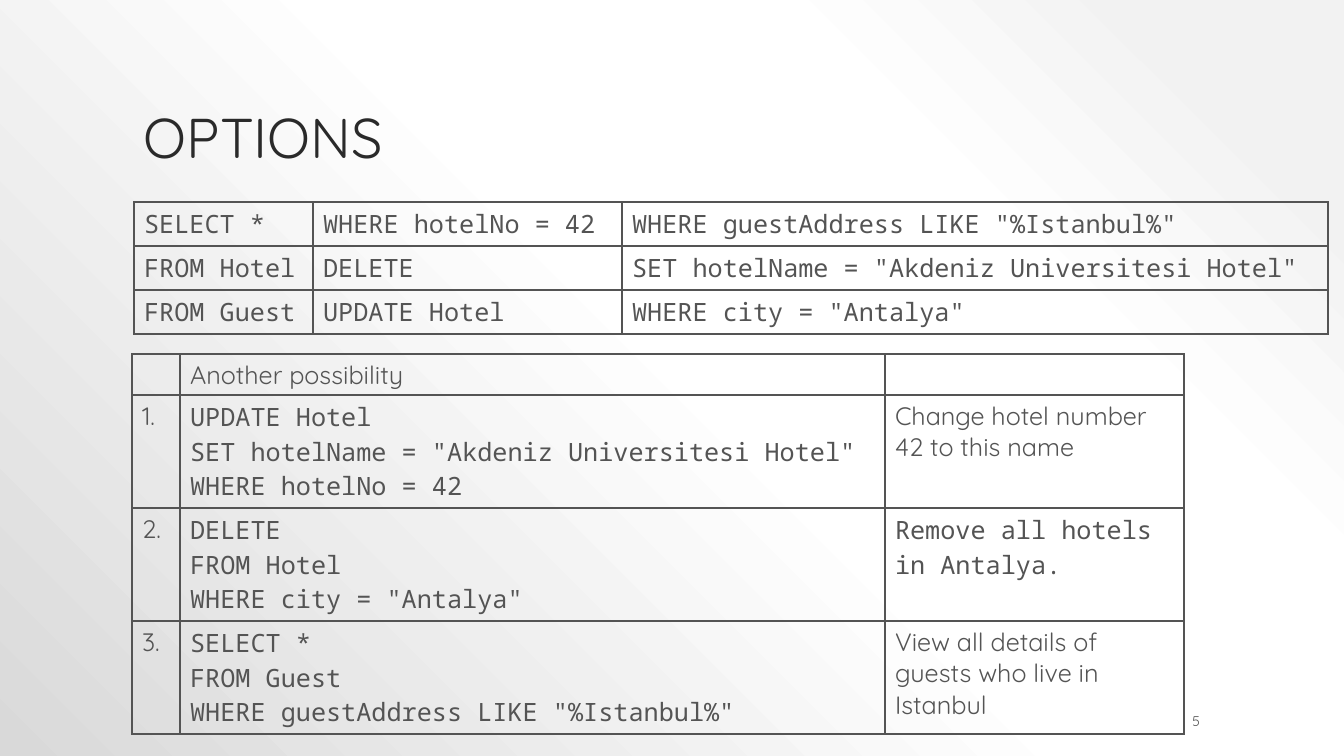
from dataclasses import dataclass

from lxml.etree import SubElement
from pptx import Presentation
from pptx.dml.color import RGBColor
from pptx.enum.text import MSO_ANCHOR as Anchor, PP_ALIGN as Align
from pptx.oxml import parse_xml
from pptx.oxml.ns import nsdecls, qn
from pptx.slide import Slide
from pptx.table import _Cell as Cell
from pptx.text.text import _Paragraph as Paragraph
from pptx.util import Emu, Pt

SANS, MONO = "Quicksand", "Noto Sans Mono"
GREY, DARK = "545454", "2A2A2A"
BACKGROUND_STOPS = [(10, "F2F2F2"), (28, "FFFFFF"), (48, "FFFFFF"), (100, "D9D9D9")]


@dataclass
class Entry:
    text: str = ""
    font: str = SANS


@dataclass
class Grid:
    left: int
    top: int
    widths: list[int]
    heights: list[int]
    rows: list[list[Entry]]


@dataclass
class Label:
    text: str
    box: tuple[int, int, int, int]
    size: int
    color: str
    anchor: Anchor
    align: Align = Align.LEFT
    spacing: float = 1.0


def code(*lines: str) -> Entry:
    return Entry("\n".join(lines), MONO)


OPTIONS = Grid(134, 202, [179, 309, 706], [44] * 3, [
    [code("SELECT *"), code("WHERE hotelNo = 42"),
     code('WHERE guestAddress LIKE "%Istanbul%"')],
    [code("FROM Hotel"), code("DELETE"),
     code('SET hotelName = "Akdeniz Universitesi Hotel"')],
    [code("FROM Guest"), code("UPDATE Hotel"), code('WHERE city = "Antalya"')],
])

ANSWERS = Grid(132, 354, [48, 705, 299], [41] + [113] * 3, [
    [Entry(), Entry("Another possibility"), Entry()],
    [Entry("1."),
     code("UPDATE Hotel", 'SET hotelName = "Akdeniz Universitesi Hotel"',
          "WHERE hotelNo = 42"),
     Entry("Change hotel number 42 to this name")],
    [Entry("2."),
     code("DELETE", "FROM Hotel", 'WHERE city = "Antalya"'),
     code("Remove all hotels in Antalya.")],
    [Entry("3."),
     code("SELECT *", "FROM Guest", 'WHERE guestAddress LIKE "%Istanbul%"'),
     Entry("View all details of guests who live in Istanbul")],
])

LABELS = [
    Label("OPTIONS", (134, 30, 1076, 146), 40, DARK, Anchor.BOTTOM, spacing=0.9),
    Label("5", (1084, 711, 126, 20), 10, GREY, Anchor.MIDDLE, Align.RIGHT),
]


def px(n: int) -> Emu:
    return Emu(round(n * 914400 / 100.8))


def rgb(color: str) -> RGBColor:
    return RGBColor.from_string(color)


def set_font(p: Paragraph, name: str, size: int, color: str) -> None:
    p.font.name = name
    p.font.size = Pt(size)
    p.font.color.rgb = rgb(color)


def paint_background(s: Slide) -> None:
    """Radial gradient centred on the top right corner."""
    s.background.fill.gradient()
    stops = "".join(
        f'<a:gs pos="{pos * 1000}"><a:srgbClr val="{color}"/></a:gs>'
        for pos, color in BACKGROUND_STOPS)
    radial = parse_xml(
        f'<a:gradFill {nsdecls("a")} rotWithShape="1"><a:gsLst>{stops}</a:gsLst>'
        '<a:path path="circle"><a:fillToRect l="100000" b="100000"/></a:path>'
        '</a:gradFill>')
    linear = next(s.element.iter(qn("a:gradFill")))
    linear.getparent().replace(linear, radial)


def add_label(s: Slide, label: Label) -> None:
    tf = s.shapes.add_textbox(*map(px, label.box)).text_frame
    tf.word_wrap = True
    tf.vertical_anchor = label.anchor
    p = tf.paragraphs[0]
    p.text = label.text
    p.alignment = label.align
    p.line_spacing = label.spacing
    set_font(p, SANS, label.size, label.color)


def add_borders(cell: Cell) -> None:
    tc_pr = cell._tc.get_or_add_tcPr()
    for side in ("lnL", "lnR", "lnT", "lnB"):
        line = SubElement(tc_pr, qn(f"a:{side}"), w=str(Pt(1)))
        fill = SubElement(line, qn("a:solidFill"))
        SubElement(fill, qn("a:srgbClr"), val=GREY)


def fill_cell(cell: Cell, entry: Entry) -> None:
    add_borders(cell)
    cell.fill.background()
    cell.text = entry.text
    for p in cell.text_frame.paragraphs:
        set_font(p, entry.font, 18, GREY)


def add_grid(s: Slide, grid: Grid) -> None:
    table = s.shapes.add_table(
        len(grid.heights), len(grid.widths), px(grid.left), px(grid.top),
        px(sum(grid.widths)), px(sum(grid.heights))).table
    table.first_row = table.horz_banding = False
    for column, width in zip(table.columns, grid.widths):
        column.width = px(width)
    for row, height, entries in zip(table.rows, grid.heights, grid.rows):
        row.height = px(height)
        for cell, entry in zip(row.cells, entries):
            fill_cell(cell, entry)


def main() -> None:
    prs = Presentation()
    prs.slide_width, prs.slide_height = px(1344), px(756)
    s = prs.slides.add_slide(prs.slide_layouts[6])
    paint_background(s)
    for label in LABELS:
        add_label(s, label)
    for grid in (OPTIONS, ANSWERS):
        add_grid(s, grid)
    prs.save("out.pptx")


if __name__ == "__main__":
    main()
